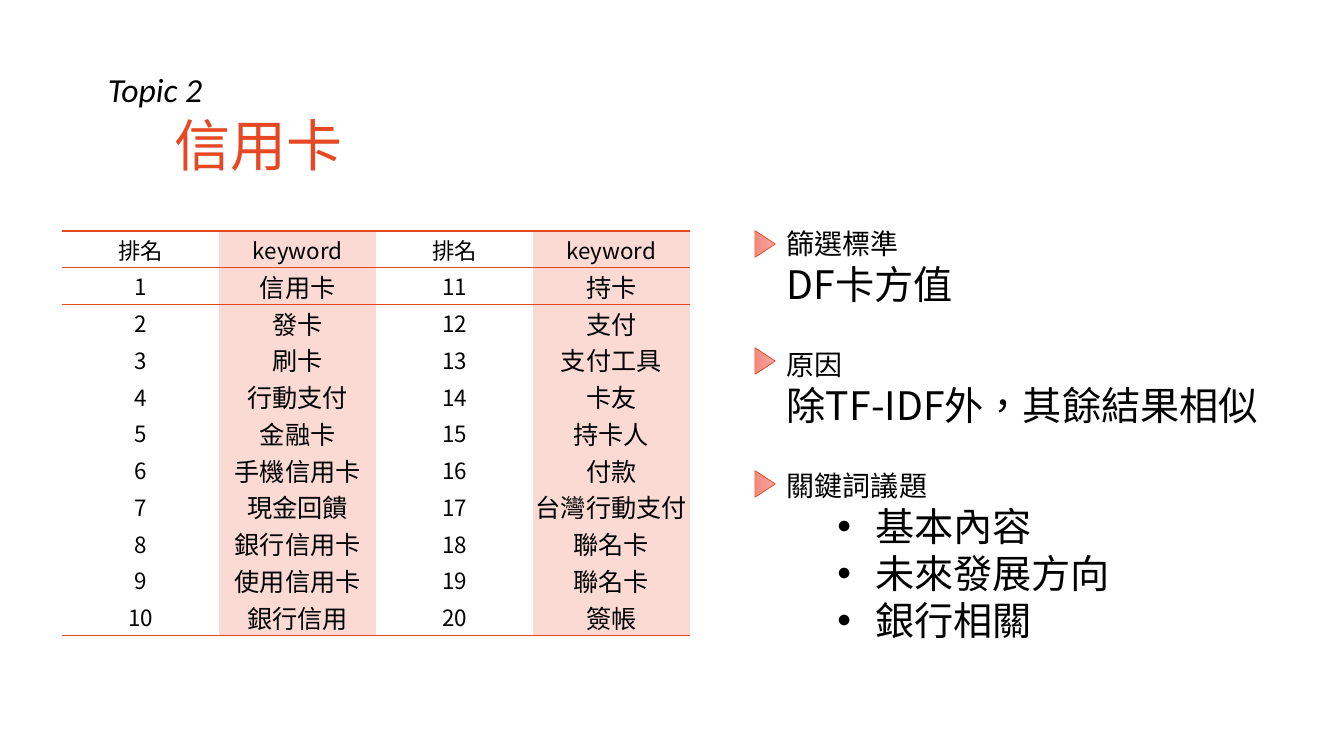
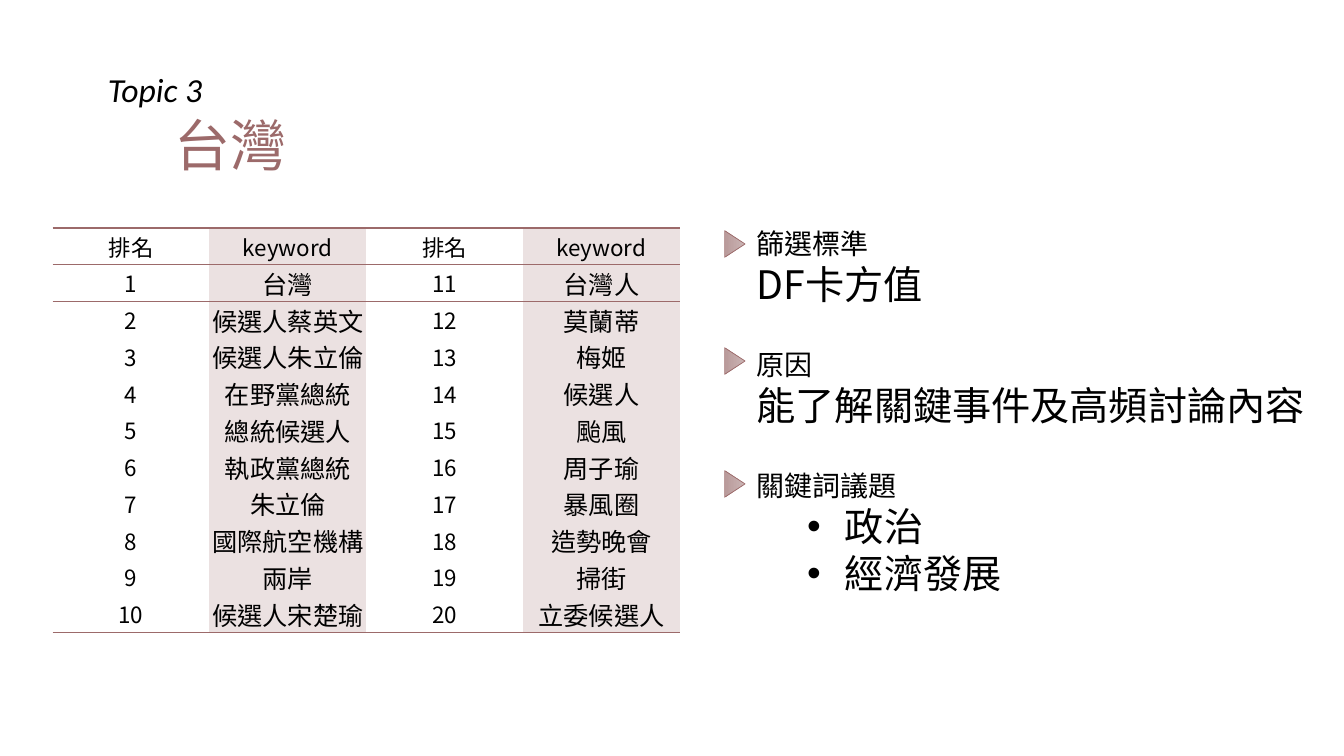
from dataclasses import dataclass
from typing import Any

import lxml.etree
import pptx
import pptx.dml.color
import pptx.enum.shapes
import pptx.enum.text
import pptx.oxml.ns
import pptx.util

Pt = pptx.util.Pt
qn = pptx.oxml.ns.qn
Anchor = pptx.enum.text.MSO_ANCHOR

LATIN = "Calibri"
HAN = "Noto Sans CJK SC"
BLACK = "000000"
LEADING = 1.2
COL, ROW = 112, 26.25
PLAIN = "{2D5ABB26-0587-4C30-8999-92F81FD0307C}"
MARKS = (167, 250.6, 338.4)


@dataclass
class Topic:
    label: str
    title: str
    accent: str
    tint: str
    fade: tuple[str, str]
    grid: tuple[float, float]
    left: float
    width: float
    reason: str
    issues: list[str]
    words: list[str]


TOPICS = [
    Topic("Topic 2", "信用卡", "E64823", "FADAD3", ("F3A9A1", "F3897F"),
          (44.6, 165), 555, 366, "除TF-IDF外，其餘結果相似",
          ["基本內容", "未來發展方向", "銀行相關"],
          ["信用卡", "發卡", "刷卡", "行動支付", "金融卡", "手機信用卡",
           "現金回饋", "銀行信用卡", "使用信用卡", "銀行信用",
           "持卡", "支付", "支付工具", "卡友", "持卡人", "付款",
           "台灣行動支付", "聯名卡", "聯名卡", "簽帳"]),
    Topic("Topic 3", "台灣", "9C6A6A", "EBE1E1", ("CAB4B4", "B99A9A"),
          (37.6, 162.9), 533.4, 408, "能了解關鍵事件及高頻討論內容",
          ["政治", "經濟發展"],
          ["台灣", "候選人蔡英文", "候選人朱立倫", "在野黨總統", "總統候選人",
           "執政黨總統", "朱立倫", "國際航空機構", "兩岸", "候選人宋楚瑜",
           "台灣人", "莫蘭蒂", "梅姬", "候選人", "颱風", "周子瑜",
           "暴風圈", "造勢晚會", "掃街", "立委候選人"]),
]


def color(code: str) -> pptx.dml.color.RGBColor:
    return pptx.dml.color.RGBColor.from_string(code)


def style(para: Any, size: float, tone: str = BLACK, face: str = HAN) -> None:
    """Format every run, for Latin and East Asian letters alike."""
    for run in para.runs:
        run.font.size = Pt(size)
        run.font.color.rgb = color(tone)
        run.font.name = face
        props = run.font._element
        props.set("lang", "zh-TW")
        lxml.etree.SubElement(props, qn("a:ea")).set("typeface", face)


def add_box(slide: Any, left: float, top: float, width: float, height: float) -> Any:
    frame = slide.shapes.add_textbox(Pt(left), Pt(top), Pt(width), Pt(height)).text_frame
    frame.word_wrap = True
    return frame


def add_head(slide: Any, topic: Topic) -> None:
    para = add_box(slide, 70, 45.4, 149, 36).paragraphs[0]
    para.text = topic.label
    style(para, 24, face=LATIN)
    para.runs[0].font.italic = True
    para = add_box(slide, 117.4, 75.6, 149, 55).paragraphs[0]
    para.text = topic.title
    para.line_spacing = Pt(40 * LEADING)
    style(para, 40, topic.accent)


def set_bullet(para: Any) -> None:
    para.level = 1
    props = para._p.get_or_add_pPr()
    props.set("marL", str(Pt(63)))
    props.set("indent", str(Pt(-27)))
    lxml.etree.SubElement(props, qn("a:buFont")).set("typeface", "Arial")
    lxml.etree.SubElement(props, qn("a:buChar")).set("char", "•")


def add_notes(slide: Any, topic: Topic) -> None:
    """Write the three headings with their answers."""
    parts = [("篩選標準", ["DF卡方值"], False),
             ("原因", [topic.reason], False),
             ("關鍵詞議題", topic.issues, True)]
    frame = add_box(slide, topic.left, 158.4, topic.width, 300)
    for rank, (head, lines, listed) in enumerate(parts):
        for pos, text in enumerate([head, *lines]):
            first = rank == pos == 0
            para = frame.paragraphs[0] if first else frame.add_paragraph()
            para.text = text
            size = 28 if pos else 20
            if pos and listed:
                set_bullet(para)
            para.line_spacing = Pt(size * LEADING)
            if rank and not pos:
                para.space_before = Pt(24 * LEADING)
            style(para, size)


def add_marks(slide: Any, topic: Topic) -> None:
    for top in MARKS:
        mark = slide.shapes.add_shape(
            pptx.enum.shapes.MSO_SHAPE.ISOSCELES_TRIANGLE,
            Pt(topic.left - 18), Pt(top), Pt(19), Pt(14.6))
        mark.rotation = 90
        mark.shadow.inherit = False
        mark.fill.gradient()
        mark.fill.gradient_angle = 270
        for stop, tone in zip(mark.fill.gradient_stops, topic.fade):
            stop.color.rgb = color(tone)
        mark.line.color.rgb = color(topic.accent)
        mark.line.width = Pt(0.5)


def set_edge(cell: Any, side: str, tone: str) -> None:
    """Draw one border; call before the fill is set."""
    edge = lxml.etree.SubElement(cell._tc.get_or_add_tcPr(), qn("a:" + side))
    edge.set("w", str(Pt(1)))
    fill = lxml.etree.SubElement(edge, qn("a:solidFill"))
    lxml.etree.SubElement(fill, qn("a:srgbClr")).set("val", tone)


def fill_cell(cell: Any, text: str, row: int, col: int, topic: Topic) -> None:
    word = col % 2 == 1
    large = word and row > 0
    cell.margin_left = cell.margin_right = Pt(1)
    cell.margin_top = cell.margin_bottom = Pt(0)
    cell.vertical_anchor = Anchor.BOTTOM if large else Anchor.MIDDLE
    para = cell.text_frame.paragraphs[0]
    para.text = text
    para.alignment = pptx.enum.text.PP_ALIGN.CENTER
    if large:
        para.line_spacing = Pt(18 * LEADING)
    style(para, 18 if large else 16)
    if row < 2:
        set_edge(cell, "lnT", topic.accent)
    if row in (0, 10):
        set_edge(cell, "lnB", topic.accent)
    if word:
        cell.fill.solid()
        cell.fill.fore_color.rgb = color(topic.tint)
    else:
        cell.fill.background()


def add_grid(slide: Any, topic: Topic) -> None:
    half = len(topic.words) // 2
    rows = [["排名", "keyword"] * 2]
    for pos in range(half):
        rows.append([str(pos + 1), topic.words[pos],
                     str(pos + half + 1), topic.words[pos + half]])
    left, top = topic.grid
    table = slide.shapes.add_table(len(rows), 4, Pt(left), Pt(top),
                                   Pt(4 * COL), Pt(len(rows) * ROW)).table
    table.first_row = table.horz_banding = False
    table._tbl.tblPr.find(qn("a:tableStyleId")).text = PLAIN
    for col in table.columns:
        col.width = Pt(COL)
    for row, texts in enumerate(rows):
        table.rows[row].height = Pt(ROW)
        for col, text in enumerate(texts):
            fill_cell(table.cell(row, col), text, row, col, topic)


def main() -> None:
    deck = pptx.Presentation()
    deck.slide_width, deck.slide_height = Pt(960), Pt(540)
    for topic in TOPICS:
        slide = deck.slides.add_slide(deck.slide_layouts[6])
        add_head(slide, topic)
        add_notes(slide, topic)
        add_grid(slide, topic)
        add_marks(slide, topic)
    deck.save("out.pptx")


if __name__ == "__main__":
    main()
